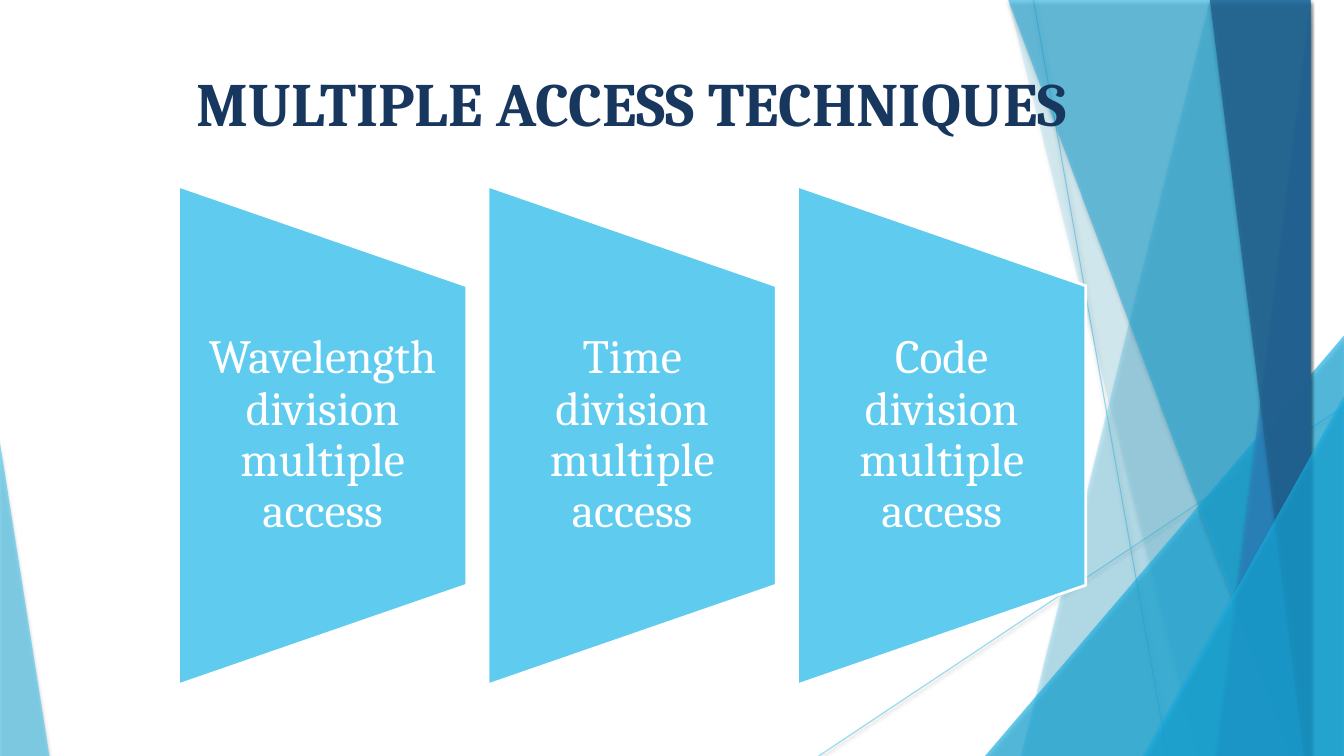
"""Build the multiple access techniques slide."""
from dataclasses import dataclass
from typing import Any

from lxml import etree
from pptx import Presentation
from pptx import util as u
from pptx.dml import color
from pptx.enum import shapes, text
from pptx.oxml import ns

FONT = "Cambria"
SKY, CYAN, BLUE, NAVY, WHITE = "5FCBEF", "17B0E4", "2E83C3", "226292", "FFFFFF"
TOP, BOTTOM, RIGHT = -0.01, 7.5, 13.33


@dataclass
class Ray:
    start: tuple[float, float]
    end: tuple[float, float]


@dataclass
class Facet:
    top_x: float
    bottom_x: float
    fill: str
    opacity: int


@dataclass
class Corner:
    box: tuple[float, float, float, float]
    apex: float
    fill: str
    opacity: int


DECORATION = [
    Ray((10.25, 0), (11.58, BOTTOM)),
    Ray((RIGHT, 4.03), (8.12, BOTTOM)),
    Facet(12.28, 10.04, SKY, 36),
    Facet(10.5, 11.82, SKY, 20),
    Corner((9.77, 3.33, 3.56, 4.17), 1, CYAN, 66),
    Facet(10.21, 12.91, CYAN, 50),
    Facet(13.03, 11.92, BLUE, 70),
    Facet(11.96, 13.18, NAVY, 80),
    Corner((11.34, 3.93, 1.99, 3.57), 1, CYAN, 66),
    Corner((0, 4.39, 0.49, 3.11), 0, SKY, 70),
]
TECHNIQUES = ["Wavelength", "Time", "Code"]
PANEL_LEFT, PANEL_STEP, PANEL_WIDTH, PANEL_HEIGHT = 1.77, 3.07, 2.86, 4.95
PANEL_MIDDLE, LABEL_HEIGHT = 4.32, 2.97


def rgb(value: str) -> color.RGBColor:
    return color.RGBColor.from_string(value)


def inches(*values: float) -> list[u.Length]:
    return [u.Inches(value) for value in values]


def set_opacity(shape: Any, percent: int) -> None:
    paint = shape._element.spPr.find(".//" + ns.qn("a:srgbClr"))
    etree.SubElement(paint, ns.qn("a:alpha"), val=str(percent * 1000))


def add_shadow(shape: Any, opacity: int, blur: float, distance: float) -> None:
    effects = etree.SubElement(shape._element.spPr, ns.qn("a:effectLst"))
    shadow = etree.SubElement(
        effects, ns.qn("a:outerShdw"), blurRad=str(u.Pt(blur)),
        dist=str(u.Pt(distance)), dir="5400000", rotWithShape="0")
    paint = etree.SubElement(shadow, ns.qn("a:srgbClr"), val="000000")
    etree.SubElement(paint, ns.qn("a:alpha"), val=str(opacity * 1000))


def paint_shape(shape: Any, fill: str) -> None:
    shape.fill.solid()
    shape.fill.fore_color.rgb = rgb(fill)


def draw_ray(page: Any, ray: Ray) -> None:
    line = page.shapes.add_connector(
        shapes.MSO_CONNECTOR.STRAIGHT, *inches(*ray.start, *ray.end))
    line.line.color.rgb = rgb(SKY)
    line.line.width = u.Pt(0.75)
    set_opacity(line, 70)
    add_shadow(line, 38, 3.1, 1.6)


def draw_glass(page: Any, glass: Facet | Corner) -> None:
    if isinstance(glass, Facet):
        outline = page.shapes.build_freeform(glass.top_x, TOP, scale=u.Inches(1))
        outline.add_line_segments(
            [(RIGHT, TOP), (RIGHT, BOTTOM), (glass.bottom_x, BOTTOM)], close=True)
        shape = outline.convert_to_shape()
    else:
        shape = page.shapes.add_shape(
            shapes.MSO_SHAPE.ISOSCELES_TRIANGLE, *inches(*glass.box))
        shape.adjustments[0] = glass.apex
    paint_shape(shape, glass.fill)
    shape.line.fill.background()
    set_opacity(shape, glass.opacity)
    add_shadow(shape, 35, 3, 2)


def write(box: Any, words: str, size: float, ink: str, bold: bool,
          side: float, edge: float, spacing: float) -> None:
    frame = box.text_frame
    frame_format = {
        "word_wrap": True, "auto_size": text.MSO_AUTO_SIZE.NONE,
        "vertical_anchor": text.MSO_ANCHOR.MIDDLE,
        "margin_left": u.Inches(side), "margin_right": u.Inches(side),
        "margin_top": u.Inches(edge), "margin_bottom": u.Inches(edge),
    }
    for name, value in frame_format.items():
        setattr(frame, name, value)
    para = frame.paragraphs[0]
    para.alignment = text.PP_ALIGN.CENTER
    para.line_spacing = spacing
    span = para.add_run()
    span.text = words
    for name, value in {"name": FONT, "size": u.Pt(size), "bold": bold}.items():
        setattr(span.font, name, value)
    span.font.color.rgb = rgb(ink)


def draw_title(page: Any) -> None:
    title = page.shapes.title
    places = zip(("left", "top", "width", "height"), inches(1.77, 0.39, 9, 1.25))
    for name, value in places:
        setattr(title, name, value)
    write(title, "MULTIPLE ACCESS TECHNIQUES", 44, "17375E", True, 0.1, 0.05, 1.0)
    page.shapes._spTree.append(title._element)


def draw_panel(page: Any, left: float, technique: str) -> None:
    center = left + PANEL_WIDTH / 2
    panel = page.shapes.add_shape(
        shapes.MSO_SHAPE.FLOWCHART_MANUAL_OPERATION,
        *inches(center - PANEL_HEIGHT / 2, PANEL_MIDDLE - PANEL_WIDTH / 2,
                PANEL_HEIGHT, PANEL_WIDTH))
    panel.rotation = 270
    paint_shape(panel, SKY)
    panel.line.color.rgb = rgb(WHITE)
    panel.line.width = u.Pt(2)
    panel.shadow.inherit = False
    label = page.shapes.add_textbox(
        *inches(left, PANEL_MIDDLE - LABEL_HEIGHT / 2, PANEL_WIDTH, LABEL_HEIGHT))
    write(label, f"{technique} division multiple access", 34, WHITE, False,
          0.24, 0, 0.9)


def main() -> None:
    deck = Presentation()
    deck.slide_width, deck.slide_height = inches(RIGHT, BOTTOM)
    page = deck.slides.add_slide(deck.slide_layouts.get_by_name("Title Only"))
    for part in DECORATION:
        if isinstance(part, Ray):
            draw_ray(page, part)
        else:
            draw_glass(page, part)
    draw_title(page)
    for index, technique in enumerate(TECHNIQUES):
        draw_panel(page, PANEL_LEFT + index * PANEL_STEP, technique)
    deck.save("out.pptx")


if __name__ == "__main__":
    main()
